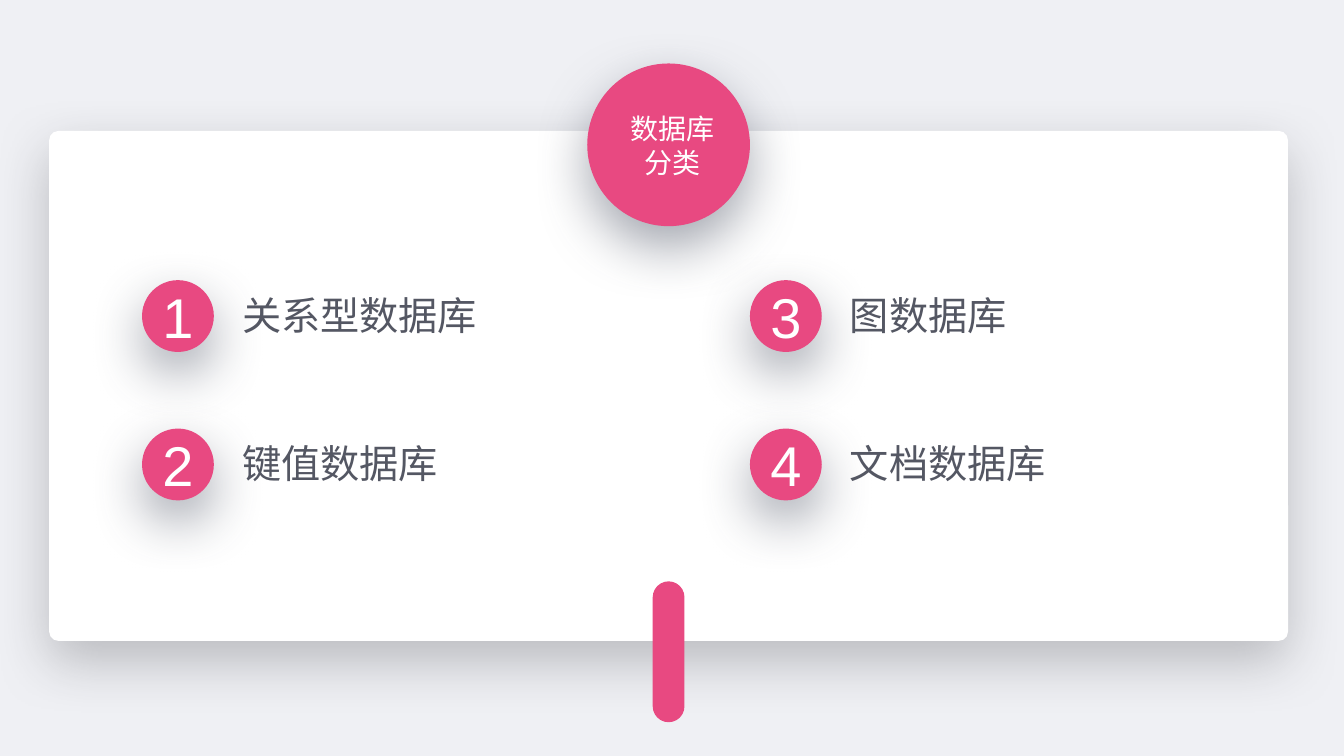
from lxml.etree import SubElement
from pptx import Presentation
from pptx.dml.color import RGBColor
from pptx.enum.shapes import MSO_SHAPE as Shape
from pptx.enum.text import MSO_ANCHOR as Anchor, MSO_AUTO_SIZE as Fit, PP_ALIGN as Align
from pptx.oxml.ns import qn
from pptx.util import Cm, Pt

TITLE = "数据库\n分类"
TYPES = ["关系型数据库", "键值数据库", "图数据库", "文档数据库"]

PINK = RGBColor(0xE8, 0x49, 0x81)
WHITE = RGBColor(0xFF, 0xFF, 0xFF)
PAPER = RGBColor(0xEF, 0xF0, 0xF4)
INK = RGBColor(0x54, 0x57, 0x63)
DARK = RGBColor(0x22, 0x23, 0x28)
SLATE = RGBColor(0x59, 0x5F, 0x6F)

ROWS = 2
LEFT, TOP = 3.58, 7.06
STEP_X, STEP_Y = 15.32, 3.74
BADGE = 1.81


def add_shape(kind, box, fill):
    shape = slide.shapes.add_shape(kind, *map(Cm, box))
    shape.fill.solid()
    shape.fill.fore_color.rgb = fill
    shape.line.fill.background()
    shape.shadow.inherit = False
    return shape


def cast(shape, color, alpha):
    """Give the shape a soft shadow straight below it; alpha is in percent."""
    effects = shape._element.spPr.find(qn("a:effectLst"))
    outer = SubElement(effects, qn("a:outerShdw"), blurRad=str(Pt(40)),
                       dist=str(Pt(15)), dir="5400000", algn="t", rotWithShape="0")
    tint = SubElement(outer, qn("a:srgbClr"), val=str(color))
    SubElement(tint, qn("a:alpha"), val=str(alpha * 1000))


def write(shape, text, size, font, color, align, anchor, inset=0.13):
    frame = shape.text_frame
    frame.text = text
    frame.word_wrap = True
    frame.auto_size = Fit.NONE
    frame.vertical_anchor = anchor
    frame.margin_left = frame.margin_right = Cm(inset)
    frame.margin_top = frame.margin_bottom = Cm(inset)
    for par in frame.paragraphs:
        par.alignment = align
        par.font.size = Pt(size)
        par.font.name = font
        par.font.color.rgb = color


deck = Presentation()
deck.slide_width, deck.slide_height = Cm(33.87), Cm(19.05)
slide = deck.slides.add_slide(deck.slide_layouts[5])
slide.background.fill.solid()
slide.background.fill.fore_color.rgb = PAPER

panel = add_shape(Shape.ROUNDED_RECTANGLE, (1.24, 3.3, 31.22, 12.85), WHITE)
panel.adjustments[0] = 0.018
cast(panel, DARK, 25)

disc = add_shape(Shape.OVAL, (14.8, 1.6, 4.1, 4.1), PINK)
cast(disc, SLATE, 55)

title = slide.shapes.title
title.left, title.top, title.width, title.height = map(Cm, (15.24, 2.54, 3.4, 2.24))
write(title, TITLE, 20, "Arial", WHITE, Align.CENTER, Anchor.MIDDLE)
disc._element.addnext(title._element)  # bring the title in front of its disc

for i, name in enumerate(TYPES):
    col, row = divmod(i, ROWS)
    x, y = LEFT + col * STEP_X, TOP + row * STEP_Y
    badge = add_shape(Shape.OVAL, (x, y, BADGE, BADGE), PINK)
    cast(badge, SLATE, 55)
    write(badge, str(i + 1), 40, "Arial", WHITE, Align.CENTER, Anchor.MIDDLE, 0)
    label = slide.shapes.add_textbox(Cm(x + 2.39), Cm(y + 0.15), Cm(8.46), Cm(1.55))
    write(label, name, 28, "Noto Sans CJK SC", INK, Align.LEFT, Anchor.TOP)

bar = add_shape(Shape.ROUNDED_RECTANGLE, (16.45, 14.65, 0.8, 3.55), PINK)
bar.adjustments[0] = 0.5

deck.save("out.pptx")
